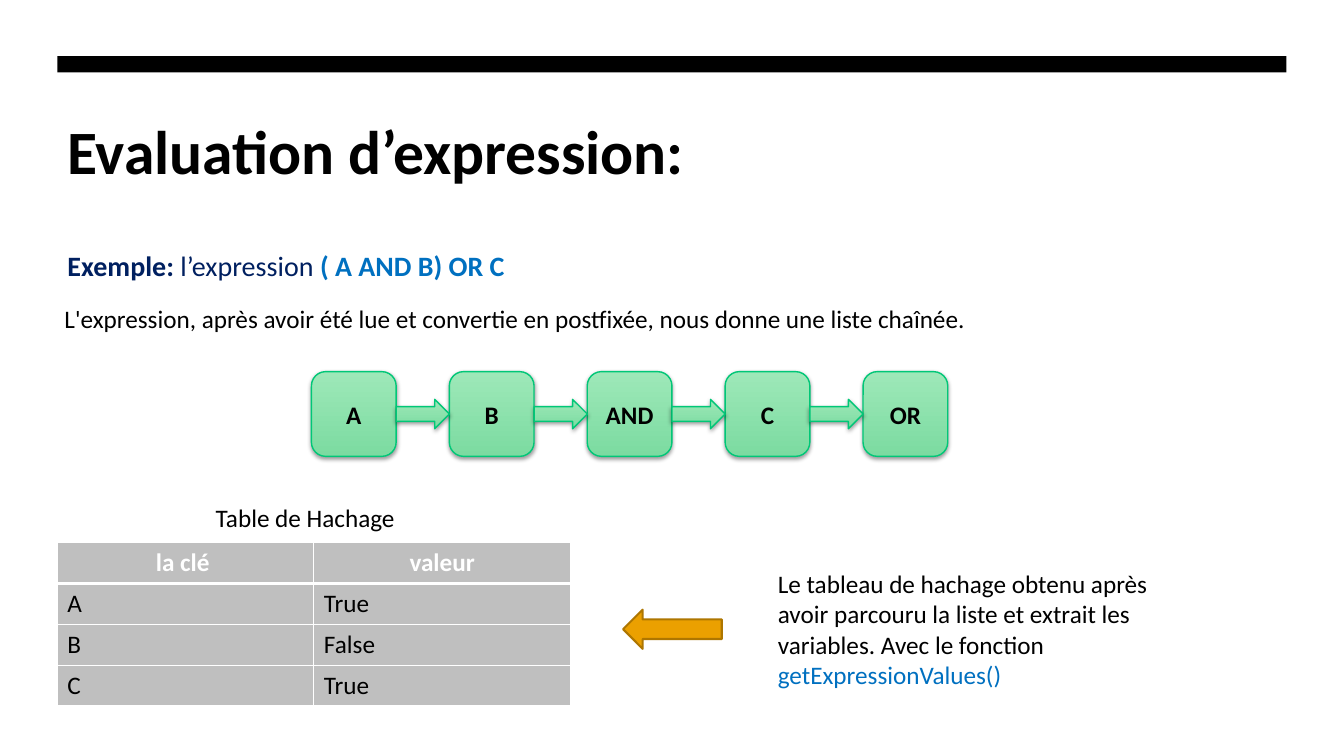
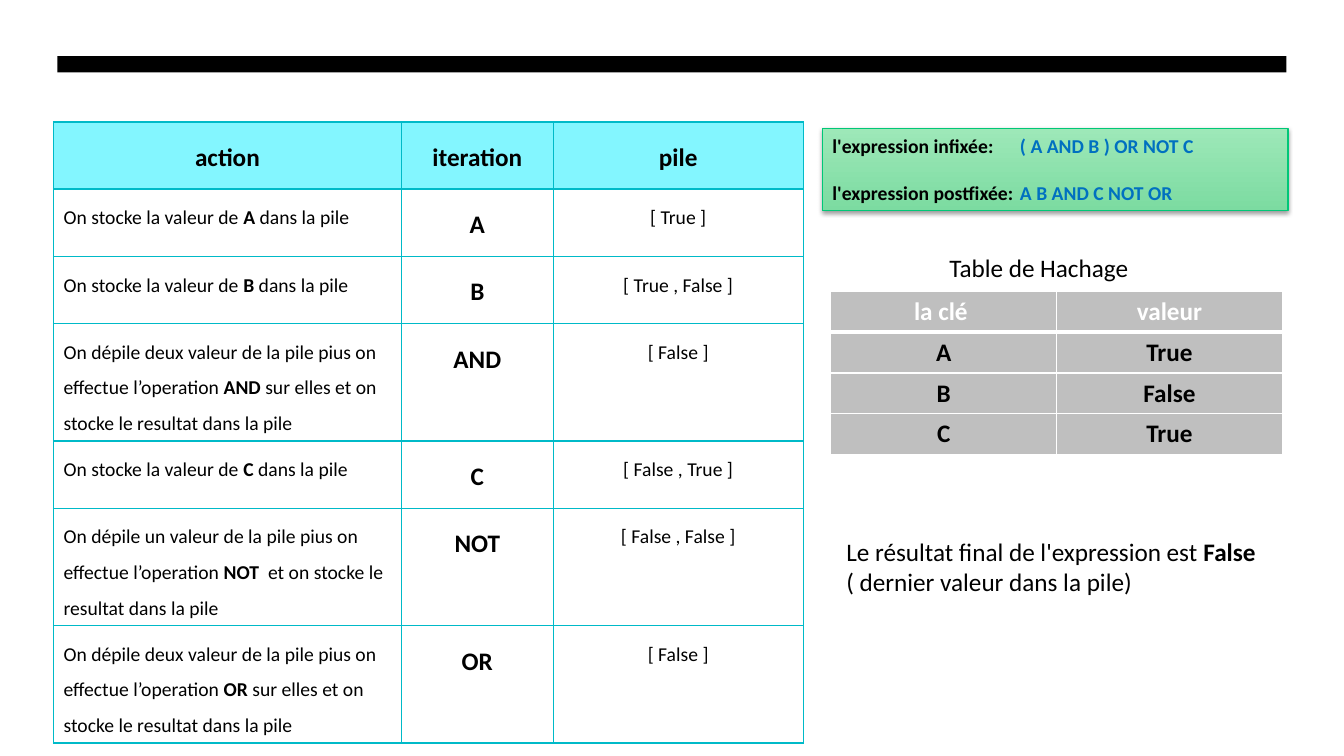
from dataclasses import dataclass

from lxml import etree
from pptx import Presentation
from pptx import util as u
from pptx.dml import color
from pptx.enum import shapes, text
from pptx.oxml import ns

LEFT, CENTER = text.PP_ALIGN.LEFT, text.PP_ALIGN.CENTER
TOP, MIDDLE = text.MSO_ANCHOR.TOP, text.MSO_ANCHOR.MIDDLE


@dataclass(frozen=True)
class Theme:
    """Colours, type sizes (points) and the font."""
    font: str = "Calibri"
    black: str = "000000"
    white: str = "FFFFFF"
    navy: str = "002060"
    blue: str = "0070C0"
    gray: str = "BFBFBF"
    green_light: str = "9DE8B8"
    green_dark: str = "7CDBA1"
    green_line: str = "00C777"
    orange: str = "EBA000"
    orange_line: str = "AE7600"
    cyan: str = "83F6FF"
    cyan_line: str = "00BAC8"
    title: int = 44
    lead: int = 20
    body: int = 18
    small: int = 14


@dataclass(frozen=True)
class Span:
    """A piece of text with its own weight or colour."""
    text: str
    bold: bool = False
    color: str = Theme.black


@dataclass(frozen=True)
class Cell:
    """One table cell: a line of spans and its look."""
    line: list
    size: int = Theme.body
    align: object = CENTER
    fill: str | None = None


def rgb(value):
    return color.RGBColor.from_string(value)


def add_xml(parent, tag, **attributes):
    element = etree.SubElement(parent, ns.qn(tag))
    for name, value in attributes.items():
        element.set(name, str(value))
    return element


class Deck:
    def __init__(self, theme):
        self.theme = theme
        self.presentation = Presentation()
        self.presentation.slide_width = u.Pt(960)
        self.presentation.slide_height = u.Pt(540)
        self.slide = None

    def new_slide(self, layout):
        """Start a slide with the black band that all slides share."""
        layouts = self.presentation.slide_layouts
        self.slide = self.presentation.slides.add_slide(layouts.get_by_name(layout))
        band = self.shape("RECTANGLE", 41, 40.2, 878, 11.5)
        self.solid(band, self.theme.black)

    # Text
    def put_text(self, frame, lines, size, align=LEFT, anchor=TOP, spacing=None, before=None):
        frame.word_wrap = True
        frame.auto_size = text.MSO_AUTO_SIZE.NONE
        frame.vertical_anchor = anchor
        for index, line in enumerate(lines):
            paragraph = frame.add_paragraph() if index else frame.paragraphs[0]
            self.put_line(paragraph, line, size, align, spacing)
            if before is not None:
                paragraph.space_before = u.Pt(before)

    def put_line(self, paragraph, line, size, align, spacing=None):
        paragraph.alignment = align
        if spacing:
            paragraph.line_spacing = spacing
        for span in line:
            run = paragraph.add_run()
            run.text = span.text
            run.font.name = self.theme.font
            run.font.size = u.Pt(size)
            run.font.bold = span.bold
            run.font.color.rgb = rgb(span.color)

    def place(self, shape, left, top, width, height):
        shape.left, shape.top = u.Pt(left), u.Pt(top)
        shape.width, shape.height = u.Pt(width), u.Pt(height)

    def title(self, words):
        title = self.slide.shapes.title
        self.place(title, 41, 77, 878, 115)
        self.put_text(title.text_frame, [[Span(words, True)]], self.theme.title)

    def lead(self, line):
        body = self.slide.placeholders[1]
        self.place(body, 41, 171.5, 878, 40)
        self.put_text(body.text_frame, [line], self.theme.lead, spacing=1.1, before=10)
        properties = body.text_frame.paragraphs[0]._p.get_or_add_pPr()
        properties.set("marL", "0")
        properties.set("indent", "0")
        add_xml(properties, "a:buNone")

    def note(self, left, top, width, height, *spans):
        box = self.slide.shapes.add_textbox(*map(u.Pt, (left, top, width, height)))
        self.put_text(box.text_frame, [spans], self.theme.body)

    # Shapes
    def shape(self, kind, left, top, width, height):
        shape = self.slide.shapes.add_shape(
            shapes.MSO_SHAPE[kind], *map(u.Pt, (left, top, width, height)))
        shape.shadow.inherit = False
        return shape

    def solid(self, shape, fill, line=None, weight=1.5):
        shape.fill.solid()
        shape.fill.fore_color.rgb = rgb(fill)
        if line:
            shape.line.color.rgb = rgb(line)
            shape.line.width = u.Pt(weight)
        else:
            shape.line.fill.background()

    def green(self, kind, left, top, width, height):
        """A shape with the green gradient and a soft shadow."""
        shape = self.shape(kind, left, top, width, height)
        shape.fill.gradient()
        shape.fill.gradient_angle = 270
        stops = shape.fill.gradient_stops
        for stop, shade in zip(stops, (self.theme.green_light, self.theme.green_dark)):
            stop.color.rgb = rgb(shade)
        stops[0].position, stops[1].position = 0, 1
        shape.line.color.rgb = rgb(self.theme.green_line)
        shape.line.width = u.Pt(1)
        effects = shape._element.spPr.find(ns.qn("a:effectLst"))
        shadow = add_xml(effects, "a:outerShdw", blurRad=int(u.Pt(3.1)),
                         dist=int(u.Pt(1.6)), dir=5400000, rotWithShape=0)
        add_xml(add_xml(shadow, "a:srgbClr", val=self.theme.black), "a:alpha", val=38000)
        return shape

    def chain(self, labels, left, top, side=60.5, gap=38, arrow=21):
        """Linked list: rounded boxes joined by block arrows."""
        for index, label in enumerate(labels):
            x = left + index * (side + gap)
            box = self.green("ROUNDED_RECTANGLE", x, top, side, side)
            self.put_text(box.text_frame, [[Span(label, True)]], self.theme.body, CENTER, MIDDLE)
            box.text_frame.margin_left = box.text_frame.margin_right = 0
            if index:
                self.green("RIGHT_ARROW", x - gap, top + (side - arrow) / 2, gap, arrow)

    def expressions(self, left, top, width, height, pairs, tab):
        """Green panel of labels and, at a tab stop, their expressions."""
        panel = self.green("RECTANGLE", left, top, width, height)
        lines = [[Span(label + "\t", True), Span(value, True, self.theme.blue)]
                 for label, value in pairs]
        self.put_text(panel.text_frame, lines, self.theme.small)
        paragraphs = panel.text_frame.paragraphs
        paragraphs[-1].space_before = u.Pt(17)
        for paragraph in paragraphs:
            stops = add_xml(paragraph._p.get_or_add_pPr(), "a:tabLst")
            add_xml(stops, "a:tab", pos=int(u.Pt(tab)), algn="l")

    # Tables
    def borders(self, cell, line, weights):
        properties = cell._tc.get_or_add_tcPr()
        for index, (side, weight) in enumerate(zip("LRTB", weights)):
            border = add_xml(properties, "a:ln" + side, w=int(u.Pt(weight)))
            add_xml(add_xml(border, "a:solidFill"), "a:srgbClr", val=line)
            properties.insert(index, border)

    def table(self, left, top, widths, row_height, rows, line, header_rule, spacing=None):
        frame = self.slide.shapes.add_table(
            len(rows), len(widths),
            *map(u.Pt, (left, top, sum(widths), row_height * len(rows))))
        table = frame.table
        table.horz_banding = False
        for column, width in zip(table.columns, widths):
            column.width = u.Pt(width)
        for r, row in enumerate(rows):
            table.rows[r].height = u.Pt(row_height)
            weights = (1, 1, header_rule if r == 1 else 1, header_rule if r == 0 else 1)
            for c, content in enumerate(row):
                cell = table.cell(r, c)
                self.put_line(cell.text_frame.paragraphs[0], content.line,
                              content.size, content.align, spacing)
                if content.fill:
                    cell.fill.solid()
                    cell.fill.fore_color.rgb = rgb(content.fill)
                else:
                    cell.fill.background()
                self.borders(cell, line, weights)

    def hash_table(self, left, top, width, bold, align):
        theme = self.theme
        rows = [[Cell([Span(word, True, theme.white)], fill=theme.gray)
                 for word in ("la clé ", "valeur")]]
        rows += [[Cell([Span(word, bold)], align=align, fill=theme.gray) for word in pair]
                 for pair in (("A", "True"), ("B", "False"), ("C", "True"))]
        self.table(left, top, [width / 2] * 2, 29.2, rows, theme.white, 3)

    def trace_table(self, left, top, widths, headings, steps):
        """Evaluation steps: action, symbol read and resulting stack."""
        theme = self.theme
        rows = [[Cell([Span(word, True)], fill=theme.cyan) for word in headings]]
        for before, symbol, after, stack in steps:
            action = [Span(before), Span(symbol, True), Span(after)]
            rows.append([Cell(action, theme.small, LEFT),
                         Cell([Span(symbol, True)]),
                         Cell([Span(stack)], theme.small)])
        self.table(left, top, widths, 48, rows, theme.cyan_line, 2, spacing=1.5)


def example_slide(deck):
    theme = deck.theme
    deck.new_slide("Title and Content")
    deck.title("Evaluation d’expression:")
    deck.lead([Span("Exemple: ", True, theme.navy), Span("l’expression ", False, theme.navy),
               Span("( A AND B) OR C", True, theme.blue)])
    deck.note(39, 213, 870, 29, Span(
        "L'expression, après avoir été lue et convertie en postfixée, "
        "nous donne une liste chaînée."))
    deck.chain(["A", "B", "AND", "C", "OR"], 222.5, 265.5)

    # Hash table and where it comes from
    deck.note(147, 355, 191, 29, Span("Table de Hachage"))
    deck.hash_table(41, 387.5, 366.5, bold=False, align=LEFT)
    arrow = deck.shape("LEFT_ARROW", 445, 435.5, 70.5, 28)
    deck.solid(arrow, theme.orange, theme.orange_line)
    deck.note(548.5, 402.5, 278.5, 94, Span(
        "Le tableau de hachage obtenu après avoir parcouru la liste et "
        "extrait les variables. Avec le fonction "),
        Span("getExpressionValues()", False, theme.blue))


def trace_slide(deck):
    deck.new_slide("Blank")
    deck.expressions(587.5, 92, 332.5, 58.5, [
        ("l'expression infixée:", "( A AND B ) OR NOT C"),
        ("l'expression postfixée:", "A B AND C NOT OR")], tab=134)

    # Evaluation steps
    push, pushed = "On stocke la valeur de ", " dans la pile"
    pop = "On dépile {} valeur de la pile pius on effectue l’operation "
    two, one = pop.format("deux"), pop.format("un")
    stored = " et on stocke le resultat dans la pile"
    deck.trace_table(38.2, 87.2, [248.5, 108.5, 178.5], ["action", "iteration", "pile"], [
        (push, "A", pushed, "[ True ]"),
        (push, "B", pushed, "[ True , False ]"),
        (two, "AND", " sur elles" + stored, "[ False ]"),
        (push, "C", pushed, "[ False , True ]"),
        (one, "NOT", " " + stored, "[ False , False ]"),
        (two, "OR", " sur elles" + stored, "[ False ]")])

    # Values and result
    deck.hash_table(593.5, 208, 322.5, bold=True, align=CENTER)
    deck.note(671, 176.5, 168.5, 29, Span("Table de Hachage"))
    deck.note(597.5, 379.5, 315.5, 73, Span("Le résultat final de l'expression est "),
              Span("False ", True), Span("( dernier valeur dans la pile)"))


def main():
    deck = Deck(Theme())
    example_slide(deck)
    trace_slide(deck)
    deck.presentation.save("out.pptx")


if __name__ == "__main__":
    main()
